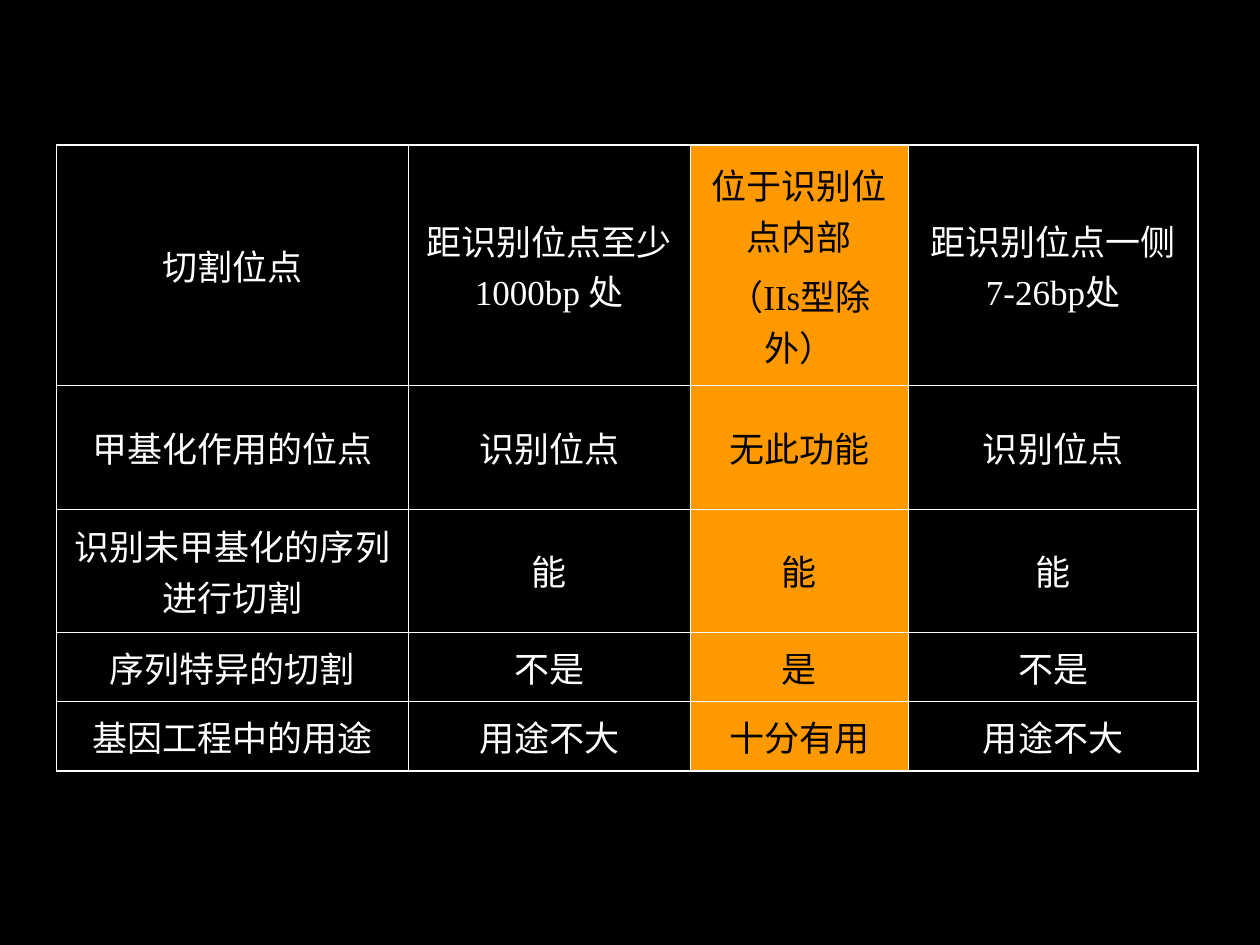
"""Build a slide with a table comparing three types of restriction enzymes."""
from lxml.etree import SubElement
from pptx import Presentation
from pptx.dml.color import RGBColor as Color
from pptx.enum.text import MSO_ANCHOR as Anchor, PP_ALIGN as Align
from pptx.oxml.ns import qn
from pptx.util import Cm, Pt

COLORS = {"background": "000000", "text": "FFFFFF", "border": "FFFFFF",
          "highlight": "FF9900", "highlight_text": "000000"}
COLUMN_WIDTHS = [7.09, 5.69, 4.39, 5.84]
ROW_HEIGHTS = [4.85, 2.49, 2.49, 1.4, 1.4]
HIGHLIGHT_COLUMN = 2
OUTER_WIDTH, INNER_WIDTH = 1.08, 0.45
ROWS = [
    ["切割位点", "距识别位点至少1000bp 处", "位于识别位点内部\n（IIs型除外）", "距识别位点一侧7-26bp处"],
    ["甲基化作用的位点", "识别位点", "无此功能", "识别位点"],
    ["识别未甲基化的序列进行切割", "能", "能", "能"],
    ["序列特异的切割", "不是", "是", "不是"],
    ["基因工程中的用途", "用途不大", "十分有用", "用途不大"],
]


def add_border(cell, side, width):
    line = SubElement(cell._tc.get_or_add_tcPr(), qn(f"a:ln{side}"), w=str(Pt(width)))
    fill = SubElement(line, qn("a:solidFill"))
    SubElement(fill, qn("a:srgbClr"), val=COLORS["border"])


deck = Presentation()
deck.slide_width, deck.slide_height = Cm(25.4), Cm(19.05)
page = deck.slides.add_slide(deck.slide_layouts[6])
page.background.fill.solid()
page.background.fill.fore_color.rgb = Color.from_string(COLORS["background"])

frame = page.shapes.add_table(
    len(ROWS), len(COLUMN_WIDTHS), Cm(1.14), Cm(2.92),
    Cm(sum(COLUMN_WIDTHS)), Cm(sum(ROW_HEIGHTS)))
table = frame.table
table.first_row = False
table.horz_banding = False
for column, width in zip(table.columns, COLUMN_WIDTHS):
    column.width = Cm(width)
for row, height in zip(table.rows, ROW_HEIGHTS):
    row.height = Cm(height)

last_row, last_column = len(ROWS) - 1, len(COLUMN_WIDTHS) - 1
for row_index, texts in enumerate(ROWS):
    for column_index, text in enumerate(texts):
        cell = table.cell(row_index, column_index)
        outer_sides = {"L": column_index == 0, "R": column_index == last_column,
                       "T": row_index == 0, "B": row_index == last_row}
        for side, is_outer in outer_sides.items():
            add_border(cell, side, OUTER_WIDTH if is_outer else INNER_WIDTH)

        highlighted = column_index == HIGHLIGHT_COLUMN
        if highlighted:
            cell.fill.solid()
            cell.fill.fore_color.rgb = Color.from_string(COLORS["highlight"])
        else:
            cell.fill.background()

        cell.vertical_anchor = Anchor.MIDDLE
        cell.text = text
        text_color = COLORS["highlight_text" if highlighted else "text"]
        for para_index, para in enumerate(cell.text_frame.paragraphs):
            para.alignment = Align.CENTER
            if para_index:
                para.space_before = Pt(5)
            para.font.size = Pt(20)
            para.font.name = "Times New Roman"
            para.font.color.rgb = Color.from_string(text_color)

deck.save("out.pptx")
